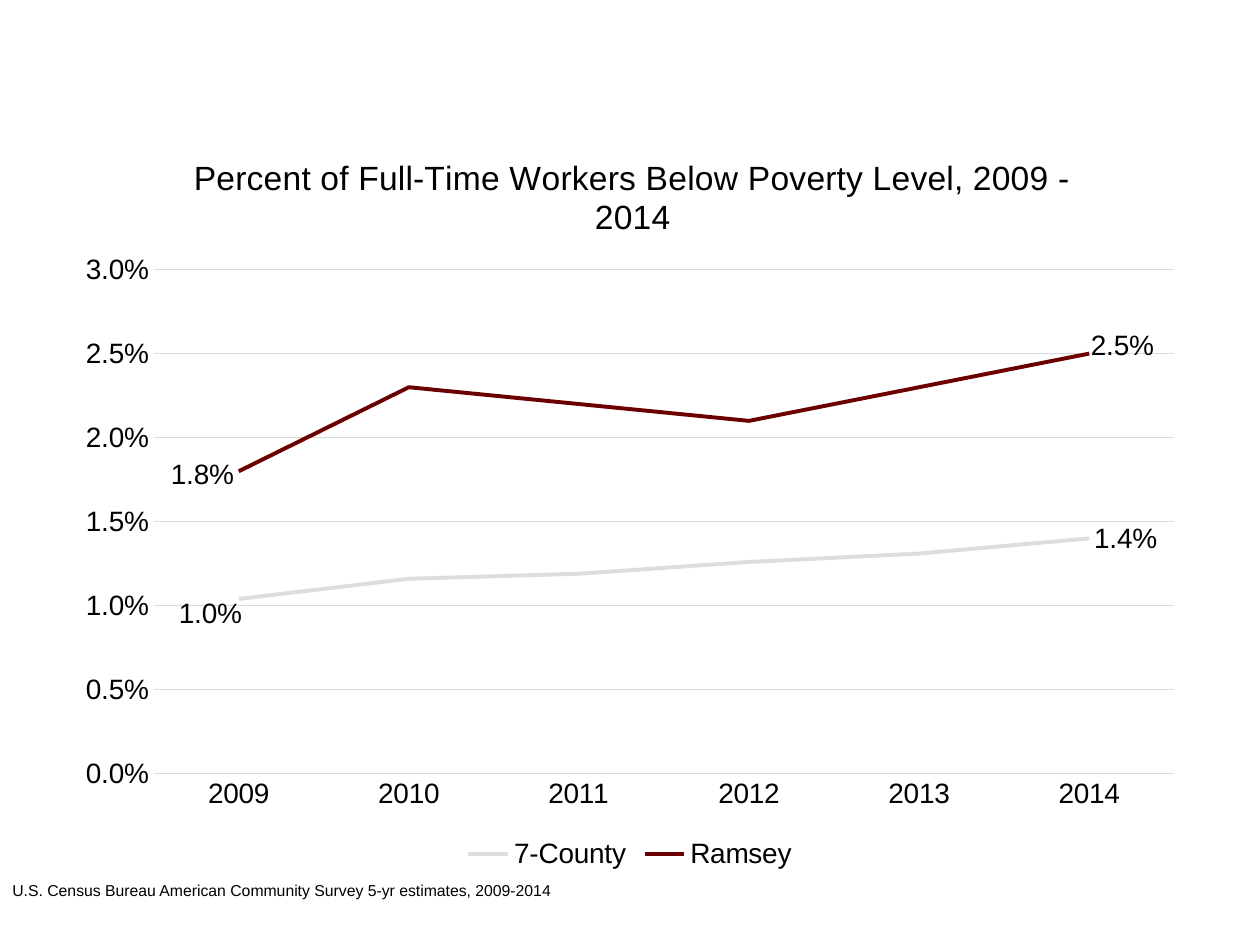
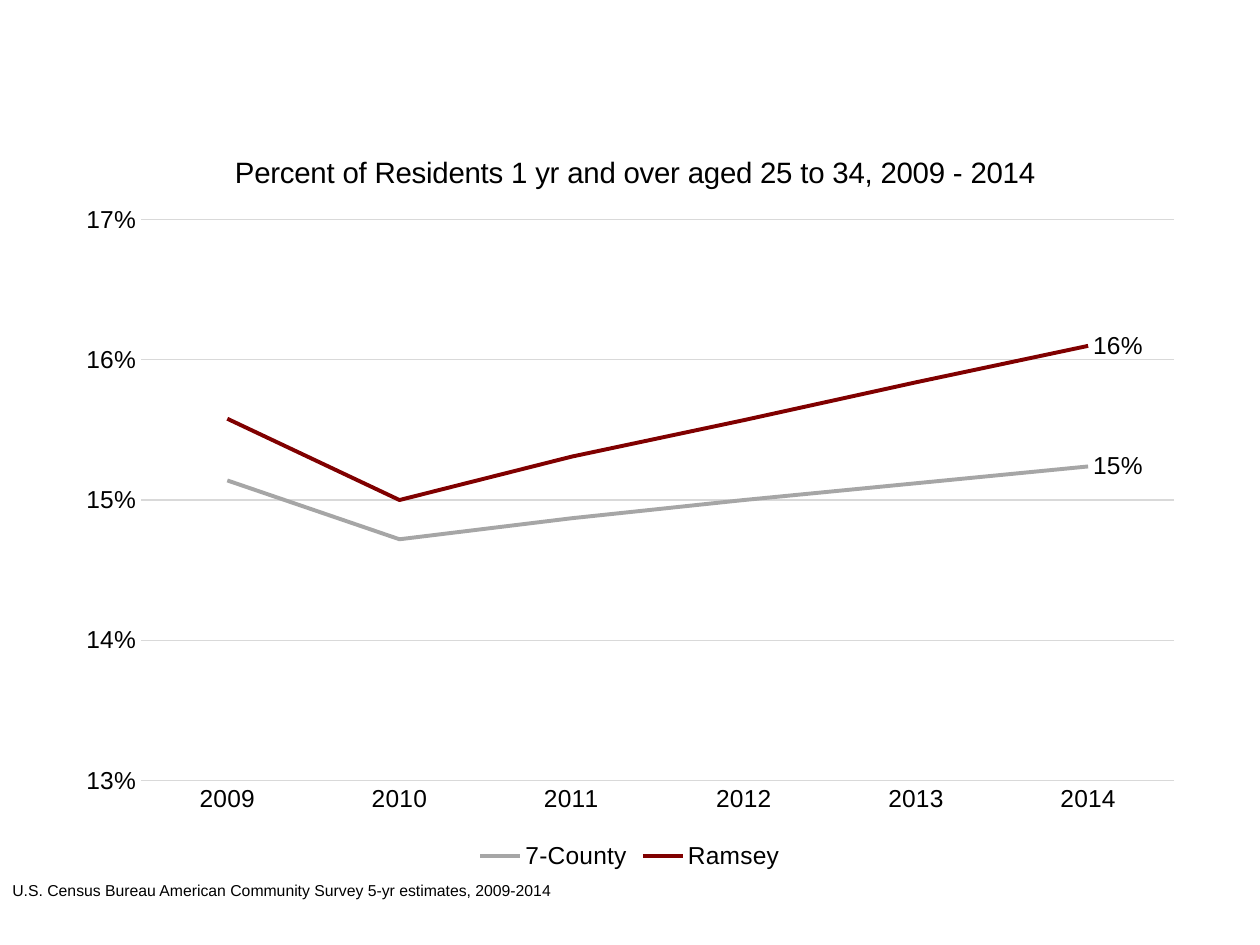
from dataclasses import dataclass, field

from pptx import Presentation
from pptx.chart.data import CategoryChartData
from pptx.dml.color import RGBColor
from pptx.enum.chart import XL_CHART_TYPE, XL_LABEL_POSITION, XL_LEGEND_POSITION, XL_TICK_MARK
from pptx.enum.text import MSO_AUTO_SIZE
from pptx.oxml import parse_xml
from pptx.oxml.ns import nsdecls
from pptx.util import Inches, Pt

FONT = "Arial"
BLACK = "000000"
WHITE = "FFFFFF"
GRID_GREY = "D9D9D9"
YEARS = [str(year) for year in range(2009, 2015)]
FIRST, LAST = 0, len(YEARS) - 1
SIDES = {FIRST: XL_LABEL_POSITION.LEFT, LAST: XL_LABEL_POSITION.RIGHT}
SOURCE = "U.S. Census Bureau American Community Survey 5-yr estimates, 2009-2014"


@dataclass
class Trend:
    """One line; labels maps a labelled point to its nudge in shares of the chart."""
    name: str
    color: str
    values: list[float]
    labels: dict[int, tuple[float, float]] = field(default_factory=lambda: {LAST: (0, 0)})


@dataclass
class TrendSlide:
    """Plot area and title corner are in shares of the chart."""
    title: str
    title_corner: tuple[float, float]
    plot_area: tuple[float, float, float, float]
    size: int
    number_format: str
    scale: tuple[float, float, float]
    trends: list[Trend]


TREND_SLIDES = [
    TrendSlide(
        "Percent of Full-Time Workers Below Poverty Level, 2009 - 2014",
        (0.11, 0.04), (0.08, 0.2, 0.9, 0.667), 16, "0.0%", (0, 0.03, 0.005),
        [
            Trend("7-County", "DDDDDD", [0.0104, 0.0116, 0.0119, 0.0126, 0.0131, 0.014],
                  {FIRST: (0.007, 0.02), LAST: (0, 0)}),
            Trend("Ramsey", "6C0000", [0.018, 0.023, 0.022, 0.021, 0.023, 0.025],
                  {FIRST: (0, 0.005), LAST: (-0.003, -0.01)}),
        ],
    ),
    TrendSlide(
        "Percent of Residents 1 yr and over aged 25 to 34, 2009 - 2014",
        (0.147, 0.04), (0.069, 0.134, 0.911, 0.742), 14, "0%", (0.13, 0.17, 0.01),
        [
            Trend("7-County", "A6A6A6", [0.1514, 0.1472, 0.1487, 0.15, 0.1512, 0.1524]),
            Trend("Ramsey", "800000", [0.1558, 0.15, 0.1531, 0.1557, 0.1584, 0.161]),
        ],
    ),
]


def rgb(color: str) -> RGBColor:
    return RGBColor.from_string(color)


def style_font(font, size: float) -> None:
    font.name = FONT
    font.size = Pt(size)
    font.bold = False
    font.color.rgb = rgb(BLACK)


def style_line(line, color: str, width: float) -> None:
    line.color.rgb = rgb(color)
    line.width = Pt(width)


def manual_layout(modes: dict[str, str], **shares: float):
    """Return a chart layout element with its modes and shares of the chart."""
    parts = [f'<c:{name} val="{value}"/>' for name, value in (modes | shares).items()]
    return parse_xml(f'<c:layout {nsdecls("c")}><c:manualLayout>{"".join(parts)}'
                     "</c:manualLayout></c:layout>")


def replace_layout(parent, layout, after: str | None = None) -> None:
    """Put layout into parent, behind the named child or first."""
    for old in parent.xpath("c:layout"):
        parent.remove(old)
    anchors = parent.xpath(after) if after else []
    if anchors:
        anchors[0].addnext(layout)
    else:
        parent.insert(0, layout)


def style_title(chart, content: TrendSlide) -> None:
    frame = chart.chart_title.text_frame
    frame.text = content.title
    style_font(frame.paragraphs[0].runs[0].font, content.size * 1.2)
    chart.chart_title.include_in_layout = False
    x, y = content.title_corner
    title = chart._chartSpace.xpath("c:chart/c:title")[0]
    replace_layout(title, manual_layout({"xMode": "edge", "yMode": "edge"}, x=x, y=y), "c:tx")


def style_axes(chart, content: TrendSlide) -> None:
    for axis in (chart.category_axis, chart.value_axis):
        axis.major_tick_mark = axis.minor_tick_mark = XL_TICK_MARK.NONE
        style_font(axis.tick_labels.font, content.size)
    style_line(chart.category_axis.format.line, GRID_GREY, 0.75)
    values = chart.value_axis
    values.minimum_scale, values.maximum_scale, values.major_unit = content.scale
    values.tick_labels.number_format = content.number_format
    values.tick_labels.number_format_is_linked = False
    values.format.line.fill.background()
    style_line(values.major_gridlines.format.line, GRID_GREY, 0.75)


def style_trend(series, trend: Trend, size: int) -> None:
    series.smooth = False
    style_line(series.format.line, trend.color, 2.25)
    series.data_labels.show_value = False
    for index, (x, y) in trend.labels.items():
        label = series.points[index].data_label
        style_font(label.font, size)
        label.position = SIDES[index]
        if x or y:
            element = series._element.xpath(f"c:dLbls/c:dLbl[c:idx/@val='{index}']")[0]
            replace_layout(element, manual_layout({}, x=x, y=y), "c:idx")


def add_trend_chart(slide, content: TrendSlide) -> None:
    data = CategoryChartData(number_format=content.number_format)
    data.categories = YEARS
    for trend in content.trends:
        data.add_series(trend.name, trend.values)
    chart = slide.shapes.add_chart(XL_CHART_TYPE.LINE, Inches(0.5), Inches(0.94),
                                   Inches(9), Inches(6), data).chart
    style_font(chart.font, content.size)
    style_title(chart, content)
    style_axes(chart, content)
    chart.has_legend = True
    chart.legend.position = XL_LEGEND_POSITION.BOTTOM
    chart.legend.include_in_layout = False
    style_font(chart.legend.font, content.size)
    chart.plots[0].vary_by_categories = False
    for series, trend in zip(chart.plots[0].series, content.trends):
        style_trend(series, trend, content.size)
    x, y, width, height = content.plot_area
    modes = {"layoutTarget": "inner", "xMode": "edge", "yMode": "edge"}
    plot_area = chart._chartSpace.xpath("c:chart/c:plotArea")[0]
    replace_layout(plot_area, manual_layout(modes, x=x, y=y, w=width, h=height))


def add_source(slide) -> None:
    box = slide.shapes.add_textbox(0, Inches(6.94), Inches(5), Inches(0.25))
    frame = box.text_frame
    frame.word_wrap = True
    frame.auto_size = MSO_AUTO_SIZE.SHAPE_TO_FIT_TEXT
    frame.text = SOURCE
    style_font(frame.paragraphs[0].runs[0].font, 9)


def main() -> None:
    deck = Presentation()
    deck.slide_width, deck.slide_height = Inches(10), Inches(7.5)
    blank = deck.slide_layouts[6]
    for content in TREND_SLIDES:
        slide = deck.slides.add_slide(blank)
        slide.background.fill.solid()
        slide.background.fill.fore_color.rgb = rgb(WHITE)
        add_trend_chart(slide, content)
        add_source(slide)
    deck.save("out.pptx")


if __name__ == "__main__":
    main()
